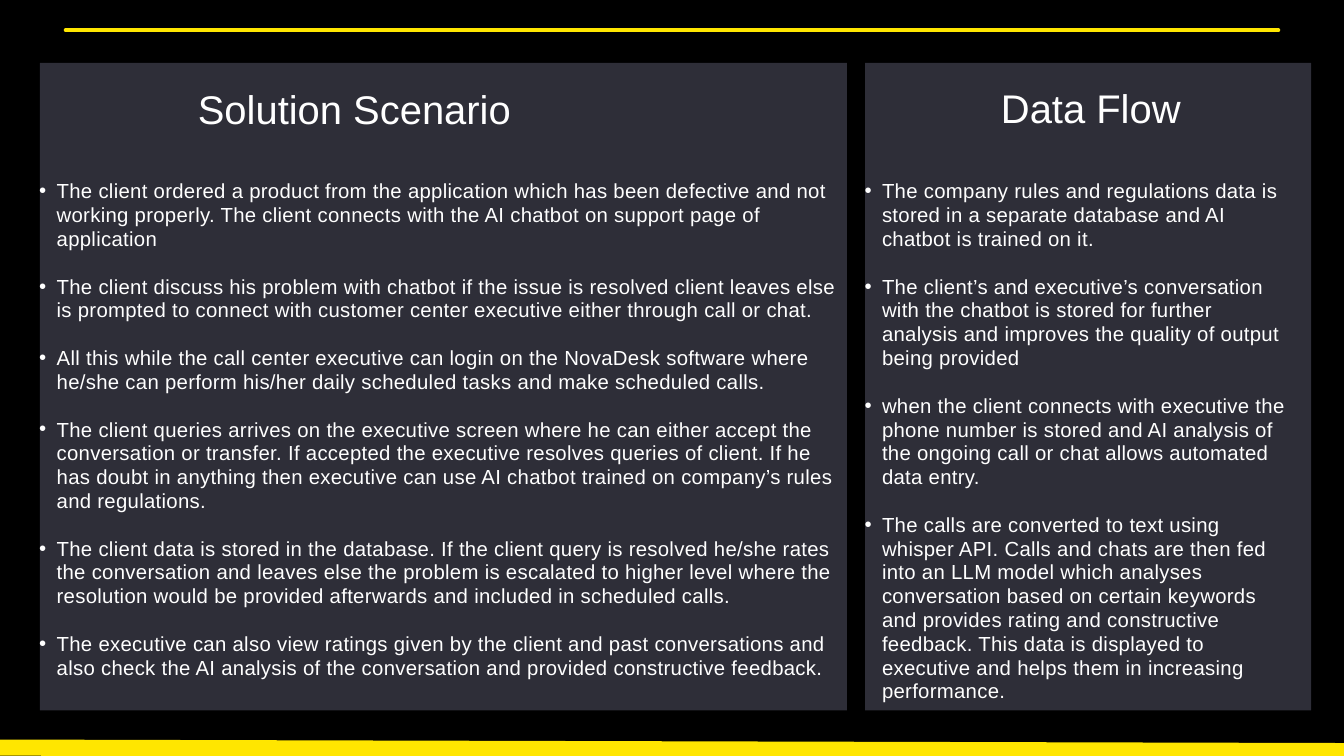
from dataclasses import dataclass

from lxml import etree
from pptx import Presentation
from pptx.dml.color import RGBColor
from pptx.enum.shapes import MSO_CONNECTOR, MSO_SHAPE
from pptx.enum.text import MSO_AUTO_SIZE, PP_ALIGN
from pptx.oxml.ns import qn
from pptx.util import Emu, Pt

STRAIGHT = MSO_CONNECTOR.STRAIGHT
RECTANGLE = MSO_SHAPE.RECTANGLE
GROW = MSO_AUTO_SIZE.SHAPE_TO_FIT_TEXT
LEFT, CENTER = PP_ALIGN.LEFT, PP_ALIGN.CENTER
EMU_PER_PX = 9525
SLIDE_WIDTH, SLIDE_HEIGHT = 1920, 1080


def px(length):
    return Emu(length * EMU_PER_PX)


@dataclass(frozen=True)
class Theme:
    background: RGBColor = RGBColor(0x00, 0x00, 0x00)
    panel: RGBColor = RGBColor(0x2E, 0x2E, 0x38)
    accent: RGBColor = RGBColor(0xFF, 0xE6, 0x00)
    text: RGBColor = RGBColor(0xFF, 0xFF, 0xFF)
    font: str = "Arial"
    title_size: float = 42.8
    title_leading: float = 43.6
    body_size: float = 21.8
    body_leading: float = 25.5
    body_tracking: float = 0.3


SCENARIO = [
    "The client ordered a product from the application which has been defective and not "
    "working properly. The client connects with the AI chatbot on support page of application",
    "The client discuss his problem with chatbot if the issue is resolved client leaves else "
    "is prompted to connect with customer center executive either through call or chat.",
    "All this while the call center executive can login on the NovaDesk software where "
    "he/she can perform his/her daily scheduled tasks and make scheduled calls.",
    "The client queries arrives on the executive screen where he can either accept the "
    "conversation or transfer. If accepted the executive resolves queries of client. If he "
    "has doubt in anything then executive can use AI chatbot trained on company’s rules "
    "and regulations.",
    "The client data is stored in the database. If the client query is resolved he/she rates "
    "the conversation and leaves else the problem is escalated to higher level where the "
    "resolution would be provided afterwards and included in scheduled calls.",
    "The executive can also view ratings given by the client and past conversations and "
    "also check the AI analysis of the conversation and provided constructive feedback.",
]
DATA_FLOW = [
    "The company rules and regulations data is stored in a separate database and AI "
    "chatbot is trained on it.",
    "The client’s and executive’s conversation with the chatbot is stored for further "
    "analysis and improves the quality of output being provided",
    "when the client connects with executive the phone number is stored and AI analysis of "
    "the ongoing call or chat allows automated data entry.",
    "The calls are converted to text using whisper API. Calls and chats are then fed into an "
    "LLM model which analyses conversation based on certain keywords and provides rating and "
    "constructive feedback. This data is displayed to executive and helps them in increasing "
    "performance.",
]


class SlideBuilder:
    def __init__(self, page, theme):
        self.page = page
        self.theme = theme
        page.background.fill.solid()
        page.background.fill.fore_color.rgb = theme.background

    def rule(self, start, end, weight, cap="flat"):
        line = self.page.shapes.add_connector(STRAIGHT, *map(px, (*start, *end)))
        line.line.color.rgb = self.theme.accent
        line.line.width = Pt(weight)
        line.line._get_or_add_ln().set("cap", cap)
        etree.SubElement(line._element.spPr, qn("a:effectLst"))

    def panel(self, left, top, width, height):
        shape = self.page.shapes.add_shape(RECTANGLE, *map(px, (left, top, width, height)))
        shape.shadow.inherit = False
        shape.fill.solid()
        shape.fill.fore_color.rgb = self.theme.panel
        shape.line.fill.background()

    def text(self, paragraphs, bounds, *, size, leading, align=LEFT, gap=0, tracking=0,
             bulleted=False):
        box = self.page.shapes.add_textbox(*map(px, bounds))
        frame = box.text_frame
        frame.word_wrap = True
        frame.auto_size = GROW
        frame.margin_left = frame.margin_top = frame.margin_right = frame.margin_bottom = 0
        for index, words in enumerate(paragraphs):
            para = frame.add_paragraph() if index else frame.paragraphs[0]
            if bulleted:
                self.bullet(para)
            para.alignment = align
            para.line_spacing = Pt(leading)
            if index:
                para.space_before = Pt(gap)
            span = para.add_run()
            span.text = words
            span.font.name = self.theme.font
            span.font.size = Pt(size)
            span.font.color.rgb = self.theme.text
            if tracking:
                span._r.get_or_add_rPr().set("spc", str(round(tracking * 100)))

    def bullet(self, para):
        """Give the paragraph a hanging round bullet."""
        properties = para._p.get_or_add_pPr()
        properties.set("marL", str(px(50)))
        properties.set("indent", str(px(-25)))
        etree.SubElement(properties, qn("a:buFont"), typeface=self.theme.font)
        etree.SubElement(properties, qn("a:buChar"), char="•")

    def title(self, words, bounds):
        self.text([words], bounds, size=self.theme.title_size,
                  leading=self.theme.title_leading, align=CENTER)

    def bullets(self, items, bounds):
        """List the items with one blank line's height between them."""
        theme = self.theme
        self.text(items, bounds, size=theme.body_size, leading=theme.body_leading,
                  gap=theme.body_leading, tracking=theme.body_tracking, bulleted=True)


def main():
    deck = Presentation()
    deck.slide_width, deck.slide_height = px(SLIDE_WIDTH), px(SLIDE_HEIGHT)
    page = deck.slides.add_slide(deck.slide_layouts[6])
    builder = SlideBuilder(page, Theme())

    builder.rule((94, 43), (1826, 43), 4.5, cap="rnd")
    for left, width in ((57, 1153), (1236, 637)):
        builder.panel(left, 90, width, 925)
    builder.bullets(SCENARIO, (31, 256, 1178, 720))
    builder.title("Solution Scenario", (267, 131, 479, 69))
    builder.title("Data Flow", (1414, 130, 289, 69))
    builder.bullets(DATA_FLOW, (1210, 256, 639, 750))
    builder.rule((0, 1068), (SLIDE_WIDTH, 1073), 17.25)

    deck.save("out.pptx")


if __name__ == "__main__":
    main()
